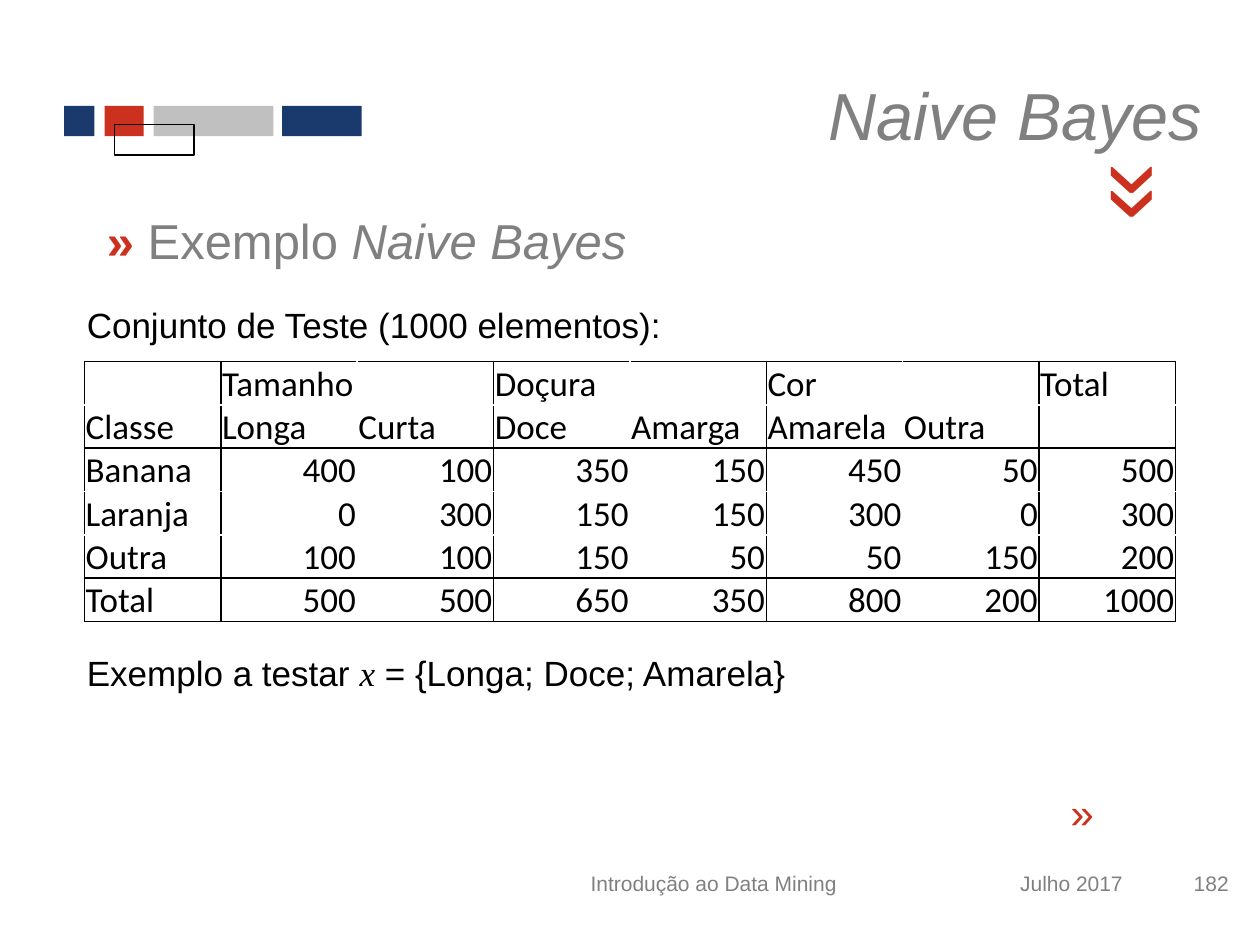
from pptx import Presentation
from pptx.dml.color import RGBColor
from pptx.enum.shapes import MSO_SHAPE as Shape
from pptx.enum.text import MSO_ANCHOR as Anchor, PP_ALIGN as Align
from pptx.oxml.ns import qn
from pptx.util import Inches, Pt
from lxml.etree import SubElement

COLORS = {"navy": "1A3A6E", "red": "CC301F", "silver": "C0C0C0",
          "gray": "808080", "black": "000000"}

HEADER = [
    ["", "Tamanho", "", "Doçura", "", "Cor", "", "Total"],
    ["Classe", "Longa", "Curta", "Doce", "Amarga", "Amarela", "Outra", ""],
]
COUNTS = [
    ["Banana", 400, 100, 350, 150, 450, 50, 500],
    ["Laranja", 0, 300, 150, 150, 300, 0, 300],
    ["Outra", 100, 100, 150, 50, 50, 150, 200],
    ["Total", 500, 500, 650, 350, 800, 200, 1000],
]
COLUMN_RULES = {0, 1, 3, 5, 7, 8}
ROW_RULES = {0, 2, 5, 6}


class SlideBuilder:
    """Holds the style and the current slide, and adds each kind of element."""

    def __init__(self, deck):
        self.font = "Arial"
        self.table_font = "Calibri"
        self.page = deck.slides.add_slide(deck.slide_layouts[6])

    def color(self, name):
        return RGBColor.from_string(COLORS[name])

    def style(self, span, size, color, font=None, bold=False, italic=False):
        span.font.name = font or self.font
        span.font.size = Pt(size)
        span.font.color.rgb = self.color(color)
        span.font.bold = bold
        span.font.italic = italic

    def bar(self, left, top, width, fill=None):
        box = self.page.shapes.add_shape(
            Shape.RECTANGLE, Inches(left), Inches(top), Inches(width), Inches(0.24))
        box.shadow.inherit = False
        if fill:
            box.fill.solid()
            box.fill.fore_color.rgb = self.color(fill)
            box.line.fill.background()
        else:
            box.fill.background()
            box.line.color.rgb = self.color("black")
            box.line.width = Pt(0.75)

    def text(self, place, spans, size, color="gray", align=Align.LEFT, anchor=Anchor.TOP):
        box = self.page.shapes.add_textbox(*map(Inches, place))
        frame = box.text_frame
        frame.word_wrap = True
        frame.vertical_anchor = anchor
        para = frame.paragraphs[0]
        para.alignment = align
        for words, changes in spans:
            span = para.add_run()
            span.text = words
            self.style(span, **{"size": size, "color": color, **changes})
        return box

    def chevron(self, place, size, rotation, top_inset):
        box = self.text(place, [("«", {})], size, "red")
        box.rotation = rotation
        box.text_frame.margin_top = Inches(top_inset)

    def border(self, cell, side):
        line = SubElement(cell._tc.get_or_add_tcPr(), qn(f"a:ln{side}"), w=str(Pt(1)))
        fill = SubElement(line, qn("a:solidFill"))
        SubElement(fill, qn("a:srgbClr"), val=COLORS["black"])

    def table(self, place, rows):
        frame = self.page.shapes.add_table(len(rows), len(rows[0]), *map(Inches, place))
        table = frame.table
        table.first_row = table.horz_banding = False
        for row, values in enumerate(rows):
            for column, value in enumerate(values):
                self.cell(table.cell(row, column), row, column, value)

    def cell(self, cell, row, column, value):
        cell.margin_left = cell.margin_right = cell.margin_top = Inches(0.01)
        cell.margin_bottom = 0
        cell.vertical_anchor = Anchor.BOTTOM
        para = cell.text_frame.paragraphs[0]
        para.text = str(value)
        para.alignment = Align.RIGHT if isinstance(value, int) else Align.LEFT
        self.style(para, 20, "black", self.table_font)
        sides = {"L": column in COLUMN_RULES, "R": column + 1 in COLUMN_RULES,
                 "T": row in ROW_RULES, "B": row + 1 in ROW_RULES}
        for side, ruled in sides.items():
            if ruled:
                self.border(cell, side)
        cell.fill.background()


def main():
    deck = Presentation()
    deck.slide_width, deck.slide_height = Inches(10), Inches(7.5)
    slide = SlideBuilder(deck)

    for left, width, fill in [(0.51, 0.24, "navy"), (0.83, 0.31, "red"),
                              (1.22, 0.95, "silver"), (2.24, 0.63, "navy")]:
        slide.bar(left, 0.84, width, fill)
    slide.bar(0.91, 0.99, 0.63)

    slide.chevron((8.27, 6.32, 0.51, 0.5), 24, 180, 0.09)
    slide.chevron((8.5, 1.03, 0.55, 1.1), 60, 270, 0.14)

    slide.text((3.03, 0.44, 6.61, 0.93), [("Naive Bayes", {"italic": True})], 38,
               align=Align.RIGHT, anchor=Anchor.MIDDLE)
    for left, width, words, align in [
            (7.2, 1.81, "Julho 2017", Align.RIGHT),
            (9.06, 0.79, "182", Align.RIGHT),
            (4.13, 3.07, "Introdução ao Data Mining", Align.CENTER)]:
        slide.text((left, 6.73, width, 0.55), [(words, {})], 12,
                   align=align, anchor=Anchor.MIDDLE)

    slide.text((0.75, 1.62, 8.43, 0.57), [
        ("» ", {"color": "red", "bold": True}),
        ("Exemplo ", {}),
        ("Naive Bayes", {"italic": True})], 28)
    slide.table((0.67, 2.87, 8.66, 2.06), HEADER + COUNTS)
    slide.text((0.59, 2.36, 8.82, 0.44),
               [("Conjunto de Teste (1000 elementos):", {})], 20, "black", Align.JUSTIFY)
    slide.text((0.59, 5.12, 8.82, 0.44), [
        ("Exemplo a testar ", {}),
        ("x", {"font": "Times New Roman", "italic": True}),
        (" = {Longa; Doce; Amarela}", {})], 20, "black", Align.JUSTIFY)

    deck.save("out.pptx")


if __name__ == "__main__":
    main()
